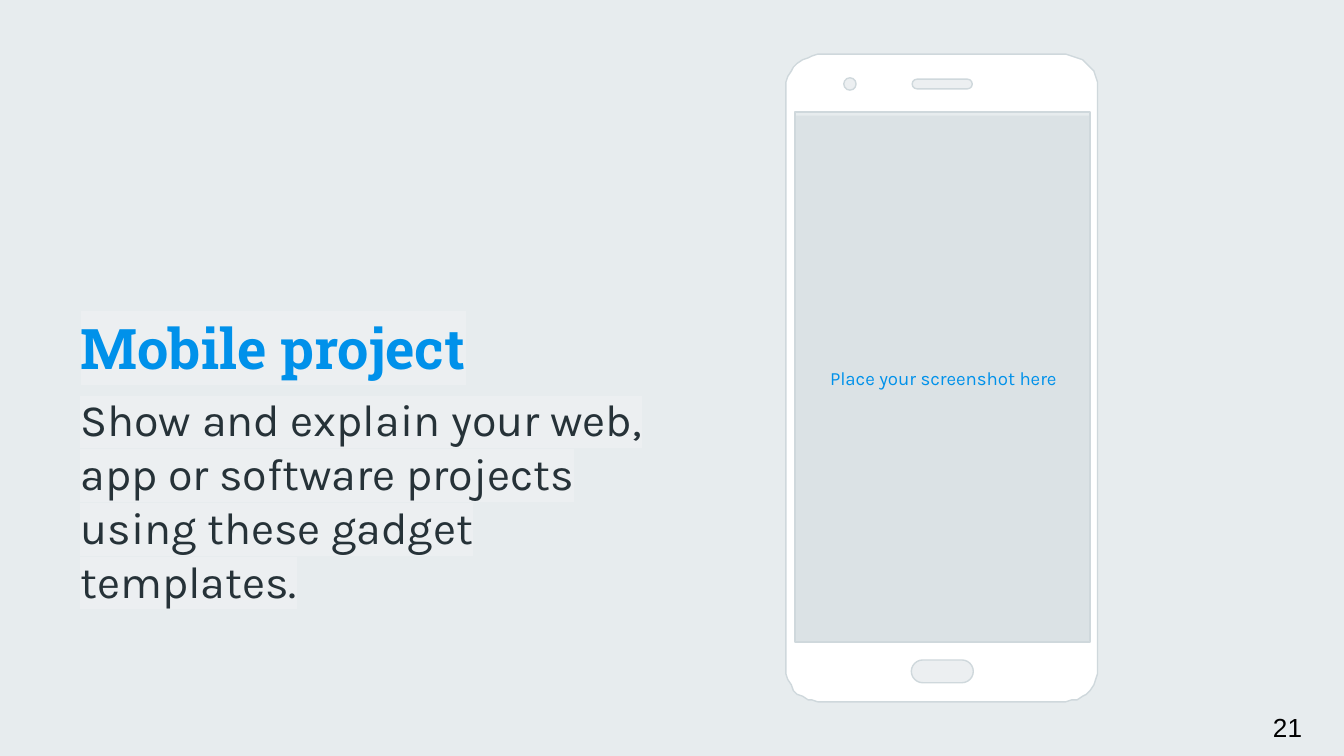
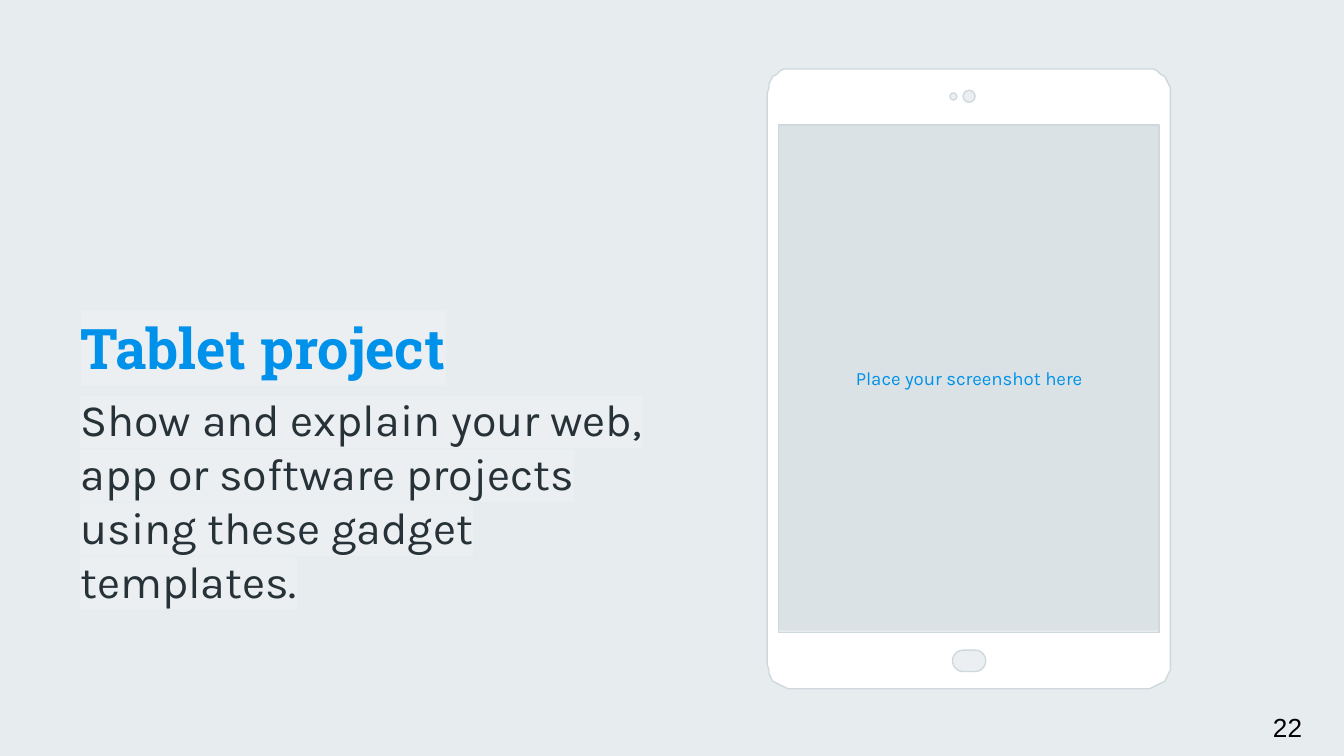
from math import cos, radians, sin

from lxml.etree import SubElement
from pptx import Presentation
from pptx.dml.color import RGBColor
from pptx.enum.shapes import MSO_SHAPE as SHAPE
from pptx.enum.text import MSO_ANCHOR as ANCHOR, MSO_AUTO_SIZE as AUTO_SIZE, PP_ALIGN as ALIGN
from pptx.oxml.ns import qn
from pptx.util import Pt

BLUE = RGBColor(0x00, 0x91, 0xEA)
INK = RGBColor(0x26, 0x32, 0x38)
BLACK = RGBColor(0x00, 0x00, 0x00)
WHITE = RGBColor(0xFF, 0xFF, 0xFF)
BACKDROP = RGBColor(0xE7, 0xEC, 0xEE)
MIST = RGBColor(0xEC, 0xEF, 0xF1)
STEEL = RGBColor(0xCF, 0xD8, 0xDC)

HEADING_FONT = "Roboto Slab"
BODY_FONT = "Karla"
INSET = Pt(7.2)
PITCH = "Show and explain your web, app or software projects using these gadget templates."

PILL, DOT = SHAPE.ROUNDED_RECTANGLE, SHAPE.OVAL
DEVICES = [
    {
        "title": "Mobile project",
        "number": "21",
        "body": (421.2, 29.5, 167, 346.2),
        "radius": 17.3,
        "window": (425.5, 60.5, 159, 283.5),
        "screen": (426, 62, 158.6, 281.5),
        "controls": [
            (PILL, 488.2, 353.6, 33.2, 12.2),
            (DOT, 452, 41.7, 6.6, 6.6),
            (PILL, 488.7, 42.4, 32.2, 5.2),
        ],
    },
    {
        "title": "Tablet project",
        "number": "22",
        "body": (411.4, 36.7, 215.4, 332.5),
        "radius": 12.8,
        "window": (416.9, 66.8, 204.5, 271.8),
        "screen": (416.9, 67, 204.5, 270.7),
        "controls": [
            (PILL, 510.3, 348.3, 17.8, 11.5),
            (DOT, 508.9, 49.8, 3.7, 3.7),
            (DOT, 516, 48.4, 6.4, 6.4),
        ],
    },
]


def write(holder, text, *, size, font, color, bold=False, align=ALIGN.LEFT,
          anchor=ANCHOR.TOP, highlight=None):
    frame = holder.text_frame
    frame.word_wrap = True
    frame.auto_size = AUTO_SIZE.NONE
    frame.vertical_anchor = anchor
    frame.margin_left = frame.margin_right = INSET
    frame.margin_top = frame.margin_bottom = INSET
    paragraph = frame.paragraphs[0]
    paragraph.alignment = align
    run = paragraph.add_run()
    run.text = text
    run.font.size = Pt(size)
    run.font.bold = bold
    run.font.color.rgb = color
    if highlight is not None:
        marker = SubElement(run.font._element, qn("a:highlight"))
        SubElement(marker, qn("a:srgbClr")).set("val", str(highlight))
    run.font.name = font


def rounded_outline(left, top, width, height, radius):
    right, bottom = left + width - radius, top + height - radius
    corners = [(right, bottom), (left + radius, bottom),
               (left + radius, top + radius), (right, top + radius)]
    return [
        (x + radius * cos(radians(90 * turn + step)), y + radius * sin(radians(90 * turn + step)))
        for turn, (x, y) in enumerate(corners)
        for step in range(0, 91, 10)
    ]


deck = Presentation()
deck.slide_width, deck.slide_height = Pt(720), Pt(405)
backdrop = deck.slide_master.background.fill
backdrop.solid()
backdrop.fore_color.rgb = BACKDROP

for device in DEVICES:
    slide = deck.slides.add_slide(deck.slide_layouts[5])
    shapes = slide.shapes

    heading = shapes.title
    heading.left, heading.top, heading.width, heading.height = Pt(36), Pt(155), Pt(323), Pt(56.3)
    write(heading, device["title"], size=30, font=HEADING_FONT, color=BLUE, bold=True,
          anchor=ANCHOR.BOTTOM, highlight=MIST)

    pitch = shapes.add_textbox(Pt(36), Pt(202.8), Pt(323), Pt(127))
    write(pitch, PITCH, size=24, font=BODY_FONT, color=INK, highlight=MIST)

    page = shapes.add_textbox(Pt(661.5), Pt(373.7), Pt(43.2), Pt(31))
    write(page, device["number"], size=14, font="Arial", color=BLACK, align=ALIGN.RIGHT)

    screen = shapes.add_shape(SHAPE.RECTANGLE, *map(Pt, device["screen"]))
    screen.shadow.inherit = False
    screen.fill.solid()
    screen.fill.fore_color.rgb = STEEL
    tint = screen.fill._xPr.find(qn("a:solidFill"))[0]
    SubElement(tint, qn("a:alpha")).set("val", "49000")
    screen.line.fill.background()
    write(screen, "Place your screenshot here", size=10, font=BODY_FONT, color=BLUE,
          align=ALIGN.CENTER, anchor=ANCHOR.MIDDLE)

    x, y, width, height = device["window"]
    window = [(x + width, y), (x + width, y + height), (x, y + height), (x, y)]
    outline = rounded_outline(*device["body"], device["radius"])
    casing = shapes.build_freeform(*outline[0], scale=Pt(1))
    casing.add_line_segments(outline[1:])
    casing.move_to(*window[0])
    casing.add_line_segments(window[1:])
    parts = [(casing.convert_to_shape(), WHITE)]

    for kind, *box in device["controls"]:
        control = shapes.add_shape(kind, *map(Pt, box))
        if kind == PILL:
            control.adjustments[0] = 0.5
        parts.append((control, MIST))

    for part, color in parts:
        part.shadow.inherit = False
        part.fill.solid()
        part.fill.fore_color.rgb = color
        part.line.color.rgb = STEEL
        part.line.width = Pt(0.75)

deck.save("out.pptx")
